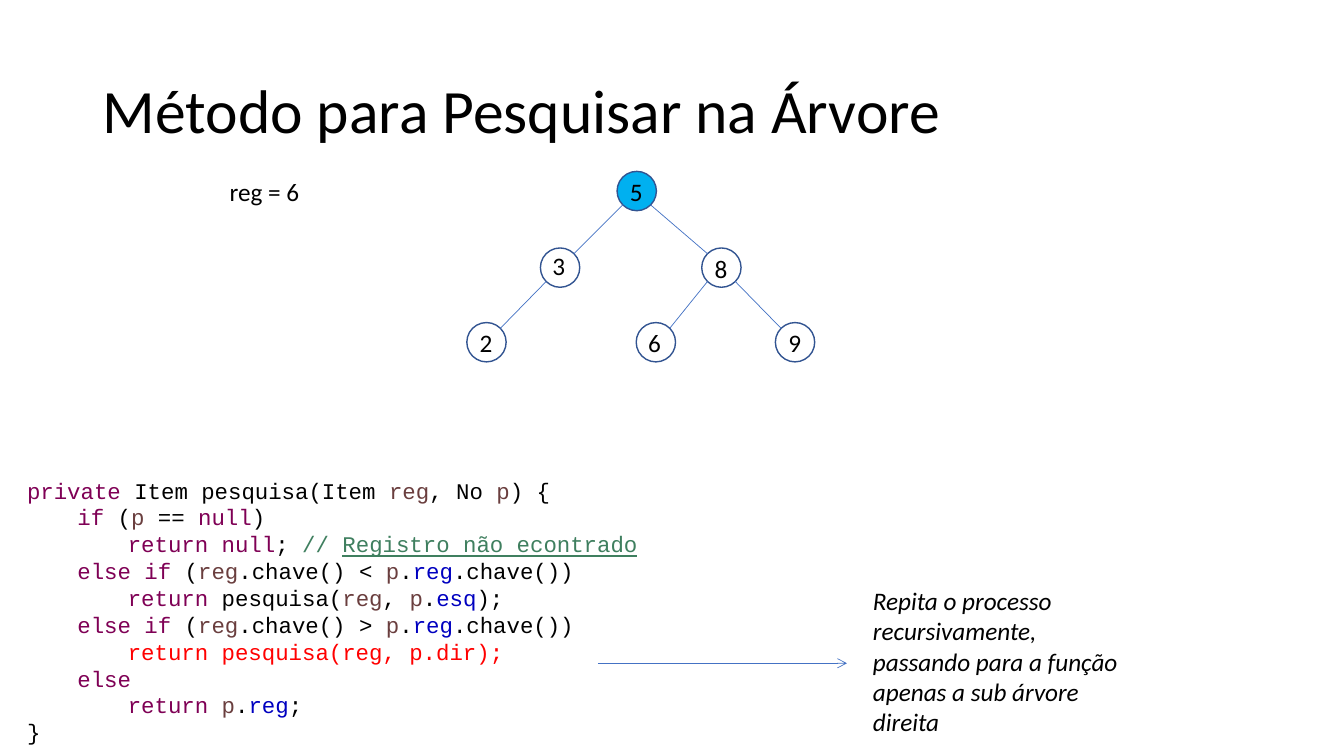
import math

import pptx
import pptx.dml.color
import pptx.enum.shapes
import pptx.enum.text
import pptx.oxml
import pptx.oxml.ns
import pptx.util
from pptx.util import Inches

RGBColor = pptx.dml.color.RGBColor
BLACK = RGBColor(0x00, 0x00, 0x00)
RED = RGBColor(0xFF, 0x00, 0x00)
VISITED = RGBColor(0x00, 0xB0, 0xF0)
OUTLINE = RGBColor(0x32, 0x54, 0x91)
EDGE = RGBColor(0x44, 0x72, 0xC4)
KEYWORD = RGBColor(0x7F, 0x00, 0x55)
PARAMETER = RGBColor(0x6A, 0x3E, 0x3E)
FIELD = RGBColor(0x00, 0x00, 0xC0)
COMMENT = RGBColor(0x3F, 0x7F, 0x5F)

NODE_SIZE = 0.39
NODES = {
    "5": (6.12, 1.7),
    "3": (5.36, 2.46),
    "8": (6.96, 2.46),
    "9": (7.69, 3.2),
    "6": (6.31, 3.2),
    "2": (4.63, 3.2),
}
BRANCHES = [("5", "8"), ("8", "9"), ("5", "3"), ("8", "6"), ("3", "2")]
LABEL_SHIFTS = {"3": (0.02, -0.03), "6": (0.02, 0)}


def compare(operator):
    return [("else if", KEYWORD), (" (",), ("reg", PARAMETER),
            (f".chave() {operator} ",), ("p", PARAMETER), (".",),
            ("reg", FIELD), (".chave())",)]


CODE = [
    (0, [("private", KEYWORD), (" Item pesquisa(Item ",), ("reg", PARAMETER),
         (", No ",), ("p", PARAMETER), (") {",)]),
    (1, [("if", KEYWORD), (" (",), ("p", PARAMETER), (" == ",),
         ("null", KEYWORD), (")",)]),
    (2, [("return null", KEYWORD), ("; ",), ("// ", COMMENT),
         ("Registro não econtrado", COMMENT, True)]),
    (1, compare("<")),
    (2, [("return", KEYWORD), (" pesquisa(",), ("reg", PARAMETER), (", ",),
         ("p", PARAMETER), (".",), ("esq", FIELD), (");",)]),
    (1, compare(">")),
    (2, [("return pesquisa(reg, p.dir);", RED)]),
    (1, [("else", KEYWORD)]),
    (2, [("return ", KEYWORD), ("p", PARAMETER), (".",), ("reg", FIELD), (";",)]),
    (0, [("}",)]),
]


class Slide:
    font = "Calibri"
    code_font = "Courier New"
    edge_width = pptx.util.Pt(0.5)

    def __init__(self, page):
        self.page = page

    def add_span(self, para, text, color=BLACK, underline=None, size=18,
                 font=None, italic=None):
        span = para.add_run()
        span.text = text
        span.font.name = font or self.font
        span.font.size = pptx.util.Pt(size)
        span.font.color.rgb = color
        span.font.italic = italic
        span.font.underline = underline

    def frame(self, left, top, width, height, wrap=True):
        box = self.page.shapes.add_textbox(
            Inches(left), Inches(top), Inches(width), Inches(height))
        box.text_frame.word_wrap = wrap
        return box.text_frame

    def text(self, text, left, top, width, height, wrap=True, **style):
        frame = self.frame(left, top, width, height, wrap)
        self.add_span(frame.paragraphs[0], text, **style)
        return frame

    def title(self, text):
        frame = self.text(text, 0.92, 0.4, 11.5, 1.45, size=44)
        frame.vertical_anchor = pptx.enum.text.MSO_ANCHOR.MIDDLE
        frame.paragraphs[0].line_spacing = 0.9

    def node(self, left, top, visited):
        circle = self.page.shapes.add_shape(
            pptx.enum.shapes.MSO_SHAPE.OVAL, Inches(left), Inches(top),
            Inches(NODE_SIZE), Inches(NODE_SIZE))
        circle.shadow.inherit = False
        if visited:
            circle.fill.solid()
            circle.fill.fore_color.rgb = VISITED
        else:
            circle.fill.background()
        circle.line.color.rgb = OUTLINE
        circle.line.width = pptx.util.Pt(1)

    def line(self, start, end, arrow=False):
        edge = self.page.shapes.add_connector(
            pptx.enum.shapes.MSO_CONNECTOR.STRAIGHT,
            *(Inches(value) for value in (*start, *end)))
        edge.line.color.rgb = EDGE
        edge.line.width = self.edge_width
        properties = edge._element.spPr
        namespace = pptx.oxml.ns.nsdecls("a")
        if arrow:
            properties.find(pptx.oxml.ns.qn("a:ln")).append(
                pptx.oxml.parse_xml(f'<a:tailEnd {namespace} type="arrow"/>'))
        properties.append(pptx.oxml.parse_xml(f"<a:effectLst {namespace}/>"))

    def branch(self, parent, child):
        radius = NODE_SIZE / 2
        reach = radius / math.sqrt(2)
        side = math.copysign(reach, child[0] - parent[0])
        start = (parent[0] + radius + side, parent[1] + radius + reach)
        end = (child[0] + radius - side, child[1] + radius - reach)
        self.line(start, end)

    def code(self, lines, left, top, width, height):
        frame = self.frame(left, top, width, height)
        for index, (level, tokens) in enumerate(lines):
            para = frame.add_paragraph() if index else frame.paragraphs[0]
            para.level = level
            for token in tokens:
                self.add_span(para, *token, size=16, font=self.code_font)


def main():
    deck = pptx.Presentation()
    deck.slide_width = Inches(13.33)
    deck.slide_height = Inches(7.5)
    slide = Slide(deck.slides.add_slide(deck.slide_layouts[6]))

    slide.title("Método para Pesquisar na Árvore")
    for key, place in NODES.items():
        slide.node(*place, visited=key == "5")
    for parent, child in BRANCHES:
        slide.branch(NODES[parent], NODES[child])
    for key, (left, top) in NODES.items():
        across, down = LABEL_SHIFTS.get(key, (0.03, 0))
        slide.text(key, left + across, top + down, 0.33, 0.4, wrap=False)
    slide.text("reg = 6", 2.18, 1.7, 0.9, 0.4, wrap=False)

    slide.line((5.93, 6.58), (8.4, 6.58), arrow=True)
    slide.text("Repita o processo recursivamente, passando para a função "
               "apenas a sub árvore direita", 8.56, 5.76, 2.76, 1.62, italic=True)
    slide.code(CODE, 0.17, 4.68, 6.67, 2.86)

    deck.save("out.pptx")


if __name__ == "__main__":
    main()
